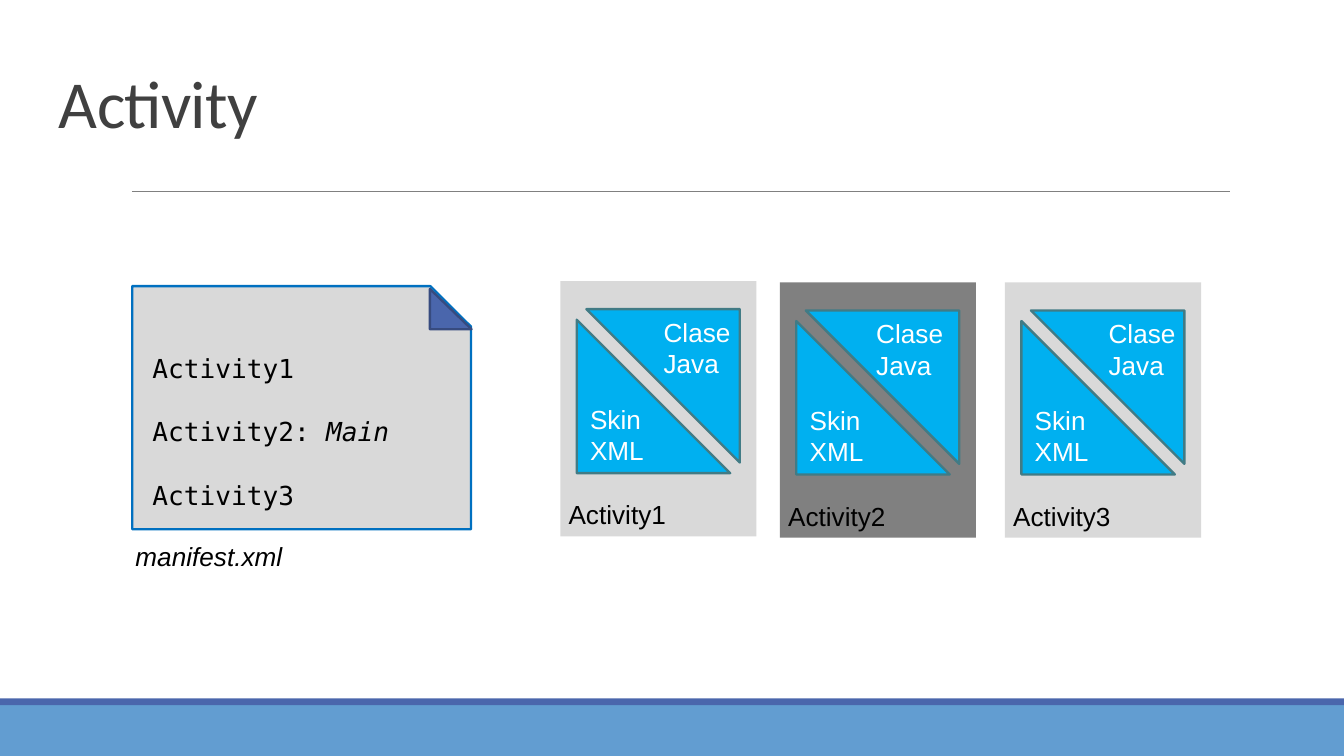
from lxml.etree import SubElement
from pptx import Presentation
from pptx.dml.color import RGBColor
from pptx.enum.shapes import MSO_CONNECTOR, MSO_SHAPE
from pptx.enum.text import MSO_ANCHOR
from pptx.oxml.ns import qn
from pptx.util import Pt

LABEL = {"name": "Arial", "size": Pt(14)}
CODE = {"name": "DejaVu Sans Mono", "size": Pt(14)}
HEADING = {"name": "Calibri", "size": Pt(36)}
ITALIC = {"italic": True}

# Name, left, top, card colour, left offset of the Java label
ACTIVITIES = [
    ("Activity1", 300.2, 150.6, "D9D9D9", 48.2),
    ("Activity2", 417.8, 151.3, "808080", 44.5),
    ("Activity3", 538.4, 151.3, "D9D9D9", 48.4),
]


def rgb(hex_colour):
    return RGBColor.from_string(hex_colour)


def add_figure(slide, kind, box, fill, line=None, rotation=0):
    figure = slide.shapes.add_shape(kind, *map(Pt, box))
    figure.shadow.inherit = False
    figure.rotation = rotation
    figure.fill.solid()
    figure.fill.fore_color.rgb = rgb(fill)
    if line:
        figure.line.color.rgb = rgb(line)
        figure.line.width = Pt(1.25)
    else:
        figure.line.fill.background()
    return figure


def add_label(slide, box, paragraphs, style, colour="000000", gap=0):
    """Each paragraph is a list of (text, extra format) runs."""
    frame = slide.shapes.add_textbox(*map(Pt, box)).text_frame
    frame.word_wrap = True
    for index, runs in enumerate(paragraphs):
        paragraph = frame.add_paragraph() if index else frame.paragraphs[0]
        paragraph.space_before = Pt(gap if index else 0)
        for text, extra in runs:
            run = paragraph.add_run()
            run.text = text
            run.font.color.rgb = rgb(colour)
            for attribute, value in {**style, **extra}.items():
                setattr(run.font, attribute, value)
    return frame


def add_rule(slide, left, right, y):
    rule = slide.shapes.add_connector(
        MSO_CONNECTOR.STRAIGHT, Pt(left), Pt(y), Pt(right), Pt(y))
    rule.line.color.rgb = rgb("808080")
    rule.line.width = Pt(0.5)
    SubElement(rule._element.spPr, qn("a:effectLst"))


def add_title(slide, text):
    frame = add_label(slide, (24.5, 35.3, 671, 45.4), [[(text, {})]], HEADING, "404040")
    margins = ("margin_left", "margin_top", "margin_right", "margin_bottom")
    for attribute, value in dict.fromkeys(margins, Pt(7.2)).items():
        setattr(frame, attribute, value)
    frame.vertical_anchor = MSO_ANCHOR.MIDDLE
    title = frame.paragraphs[0]
    title.line_spacing = 0.85
    title.runs[0]._r.get_or_add_rPr().set("spc", "-40")


def add_manifest(slide):
    add_label(slide, (65.5, 285.8, 105, 24.5), [[("manifest.xml", ITALIC)]], LABEL)
    add_figure(slide, MSO_SHAPE.SNIP_1_RECTANGLE, (70.8, 153.3, 181.5, 130.2),
               "D9D9D9", "0070C0")
    add_figure(slide, MSO_SHAPE.RIGHT_TRIANGLE, (230.3, 154.8, 22.3, 21.6),
               "4A66AC", "374B7F")
    entries = [
        [("Activity1", {})],
        [("Activity2: ", {}), ("Main", ITALIC)],
        [("Activity3", {})],
    ]
    add_label(slide, (74.6, 185, 226.8, 108.7), entries, CODE, gap=17.4)


def add_activity(slide, name, left, top, colour, java_offset):
    add_figure(slide, MSO_SHAPE.RECTANGLE, (left, top, 105.1, 136.8), colour)
    add_label(slide, (left - 2.7, top + 113, 85, 24.5), [[(name, {})]], LABEL)
    # Skin half, then Java half: words, triangle offset, rotation, label offset
    halves = [
        (("Skin", "XML"), (8.8, 20.7), 0, (8.8, 61.8)),
        (("Clase", "Java"), (13.9, 15), 180, (java_offset, 15.3)),
    ]
    for words, (dx, dy), rotation, (text_dx, text_dy) in halves:
        add_figure(slide, MSO_SHAPE.RIGHT_TRIANGLE, (left + dx, top + dy, 82.2, 82.2),
                   "00B0F0", "417B85", rotation)
        add_label(slide, (left + text_dx, top + text_dy, 85, 41),
                  [[(word, {})] for word in words], LABEL, "FFFFFF")


def main():
    deck = Presentation()
    deck.slide_width, deck.slide_height = Pt(720), Pt(405)
    slide = deck.slides.add_slide(deck.slide_layouts[6])

    # Footer bands, rule and title
    add_figure(slide, MSO_SHAPE.RECTANGLE, (0, 377.8, 720, 27.2), "629DD1")
    add_figure(slide, MSO_SHAPE.RECTANGLE, (0, 374.2, 720, 3.6), "4A66AC")
    add_rule(slide, 70.6, 658.9, 102.6)
    add_title(slide, "Activity")

    # Manifest sheet and the activities it lists
    add_manifest(slide)
    for activity in ACTIVITIES:
        add_activity(slide, *activity)

    deck.save("out.pptx")


if __name__ == "__main__":
    main()
